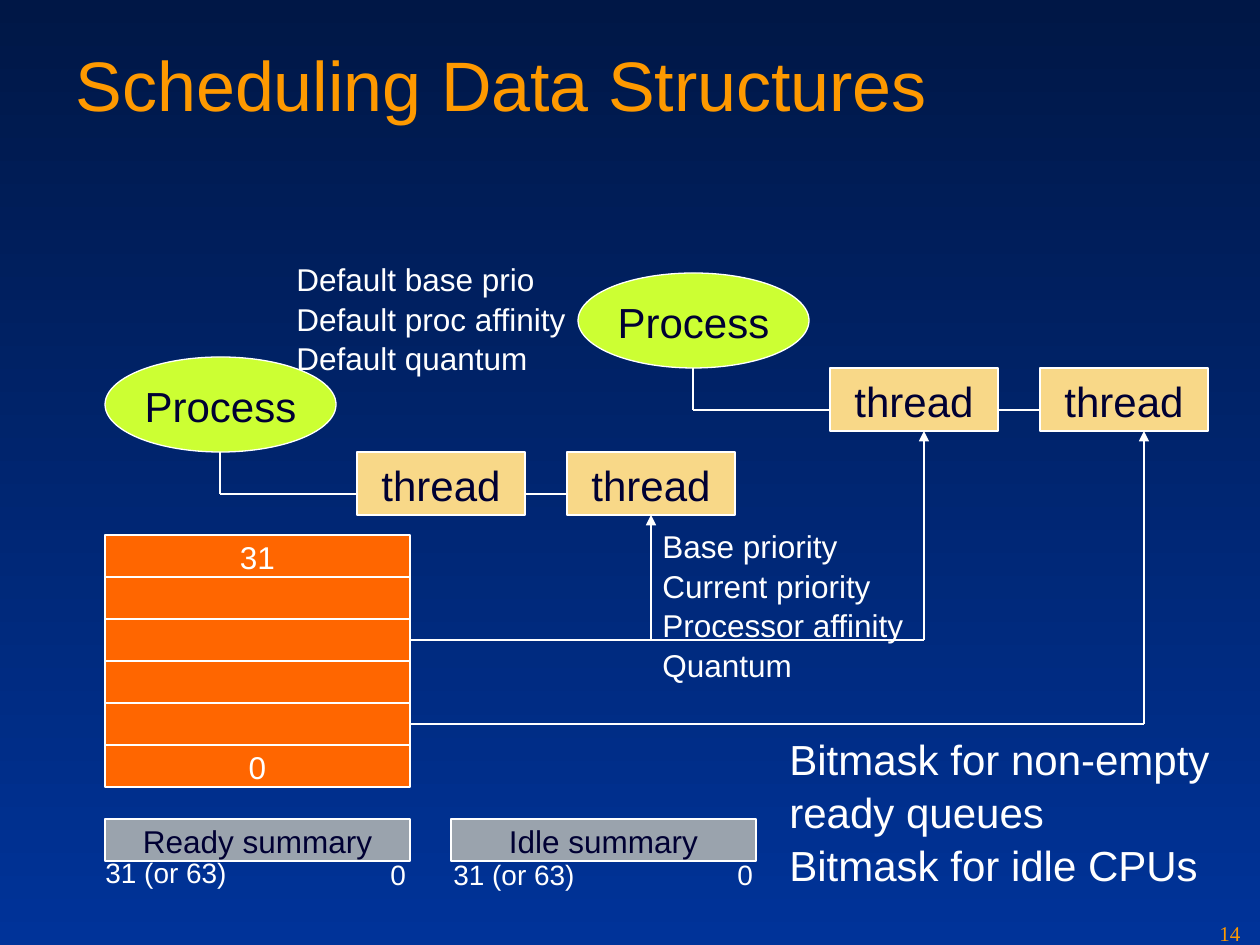
from dataclasses import dataclass

from lxml import etree
from pptx import Presentation
from pptx import util as u
from pptx.dml.color import RGBColor
from pptx.enum import shapes, text
from pptx.oxml import ns


@dataclass(frozen=True)
class Theme:
    font: str = "Arial"
    number_font: str = "Times New Roman"
    top: str = "001746"
    bottom: str = "003399"
    accent: str = "FE9900"
    light: str = "FFFFFF"
    dark: str = "000033"
    process: str = "CCFF33"
    thread: str = "F8D888"
    queue: str = "FF6600"
    summary: str = "9AA3AD"
    title_size: int = 40
    large: int = 24
    medium: int = 18
    small: int = 16
    tiny: int = 12
    spacing: float = 1.05
    line_width: float = 0.75


def px(length):
    return u.Emu(round(length * u.Inches(1) / 126))


def rgb(value):
    return RGBColor.from_string(value)


class Board:
    def __init__(self, slide, theme):
        self.slide = slide
        self.theme = theme

    def background(self):
        fill = self.slide.background.fill
        fill.gradient()
        fill.gradient_angle = 270
        for stop, color in zip(fill.gradient_stops, (self.theme.top, self.theme.bottom)):
            stop.color.rgb = rgb(color)

    def set_text(self, shape, words, size, color, align, anchor, font=None, spacing=None):
        frame = shape.text_frame
        frame.text = words
        frame.vertical_anchor = anchor
        for paragraph in frame.paragraphs:
            paragraph.alignment = align
            paragraph.line_spacing = spacing or self.theme.spacing
            paragraph.font.name = font or self.theme.font
            paragraph.font.size = u.Pt(size)
            paragraph.font.color.rgb = rgb(color)
        return frame

    def title(self, words, left, top, width, height):
        shape = self.slide.shapes.title
        shape.left, shape.top, shape.width, shape.height = map(px, (left, top, width, height))
        frame = self.set_text(shape, words, self.theme.title_size, self.theme.accent,
                              text.PP_ALIGN.LEFT, text.MSO_ANCHOR.TOP)
        frame.auto_size = text.MSO_AUTO_SIZE.NONE

    def box(self, kind, words, left, top, width, height, fill, size, color):
        shape = self.slide.shapes.add_shape(kind, *map(px, (left, top, width, height)))
        shape.shadow.inherit = False
        shape.fill.solid()
        shape.fill.fore_color.rgb = rgb(fill)
        shape.line.color.rgb = rgb(self.theme.light)
        shape.line.width = u.Pt(self.theme.line_width)
        if words:
            frame = self.set_text(shape, words, size, color,
                                  text.PP_ALIGN.CENTER, text.MSO_ANCHOR.MIDDLE)
            frame.word_wrap = False

    def label(self, words, left, top, width, height, size):
        shape = self.slide.shapes.add_textbox(*map(px, (left, top, width, height)))
        frame = self.set_text(shape, words, size, self.theme.light,
                              text.PP_ALIGN.LEFT, text.MSO_ANCHOR.TOP)
        frame.word_wrap = False
        frame.auto_size = text.MSO_AUTO_SIZE.SHAPE_TO_FIT_TEXT

    def page_number(self, words, left, top, width, height):
        shape = self.slide.shapes.add_textbox(*map(px, (left, top, width, height)))
        frame = self.set_text(shape, words, self.theme.tiny, self.theme.accent,
                              text.PP_ALIGN.LEFT, text.MSO_ANCHOR.TOP,
                              self.theme.number_font, 1.0)
        frame.word_wrap = True

    def line(self, x1, y1, x2, y2, arrow=False):
        connector = self.slide.shapes.add_connector(
            shapes.MSO_CONNECTOR.STRAIGHT, *map(px, (x1, y1, x2, y2)))
        connector.line.color.rgb = rgb(self.theme.light)
        connector.line.width = u.Pt(self.theme.line_width)
        properties = connector._element.spPr
        if arrow:
            outline = properties.find(ns.qn("a:ln"))
            etree.SubElement(outline, ns.qn("a:tailEnd"), type="triangle")
        etree.SubElement(properties, ns.qn("a:effectLst"))

    def process(self, left, top):
        """A process with its chain of two threads."""
        theme = self.theme
        center, base, link = left + 115, top + 95, top + 137
        self.box(shapes.MSO_SHAPE.OVAL, "Process", left, top, 231, 95,
                 theme.process, theme.large, theme.dark)
        threads = (left + 252, left + 462)
        for thread in threads:
            self.box(shapes.MSO_SHAPE.RECTANGLE, "thread", thread, base, 168, 63,
                     theme.thread, theme.large, theme.dark)
        self.line(center, base, center, link)
        self.line(center, link, threads[0], link)
        self.line(threads[0] + 168, link, threads[1], link)


def main():
    theme = Theme()
    presentation = Presentation()
    presentation.slide_width, presentation.slide_height = u.Inches(10), u.Inches(7.5)
    board = Board(presentation.slides.add_slide(presentation.slide_layouts[5]), theme)
    board.background()
    board.title("Scheduling Data Structures", 63, 31, 1134, 157)

    # Processes and their threads
    board.process(105, 357)
    board.process(578, 273)
    board.label("Default base prio\nDefault proc affinity\nDefault quantum",
                284, 252, 295, 126, theme.medium)

    # Ready queues, highest priority first
    queue_left, queue_top, queue_width, row = 105, 535, 305, 42
    for index, words in enumerate(("31", "", "", "", "", "0")):
        board.box(shapes.MSO_SHAPE.RECTANGLE, words, queue_left, queue_top + index * row,
                  queue_width, row, theme.queue, theme.medium, theme.light)

    # Summary bitmasks with their bit numbers
    for words, left, high, high_top, low in (
            ("Ready summary", 105, 93, 848, 378),
            ("Idle summary", 451, 441, 850, 725)):
        board.box(shapes.MSO_SHAPE.RECTANGLE, words, left, 819, queue_width, row,
                  theme.summary, theme.medium, theme.dark)
        board.label("31 (or 63)", high, high_top, 146, 47, theme.small)
        board.label("0", low, 850, 40, 47, theme.small)

    # Links from queue rows to the threads waiting in them
    queue_right = queue_left + queue_width
    for index, targets in ((2, ((651, 515), (924, 431))), (4, ((1144, 431),))):
        middle = queue_top + index * row + row // 2
        board.line(queue_right, middle, targets[-1][0], middle)
        for x, y in targets:
            board.line(x, middle, x, y, arrow=True)

    # Notes on threads and bitmasks
    board.label("Base priority\nCurrent priority\nProcessor affinity\nQuantum",
                650, 519, 266, 164, theme.medium)
    board.label("Bitmask for non-empty\vready queues\nBitmask for idle CPUs",
                777, 725, 445, 164, theme.large)
    board.page_number("14", 1207, 914, 53, 31)

    presentation.save("out.pptx")


if __name__ == "__main__":
    main()
